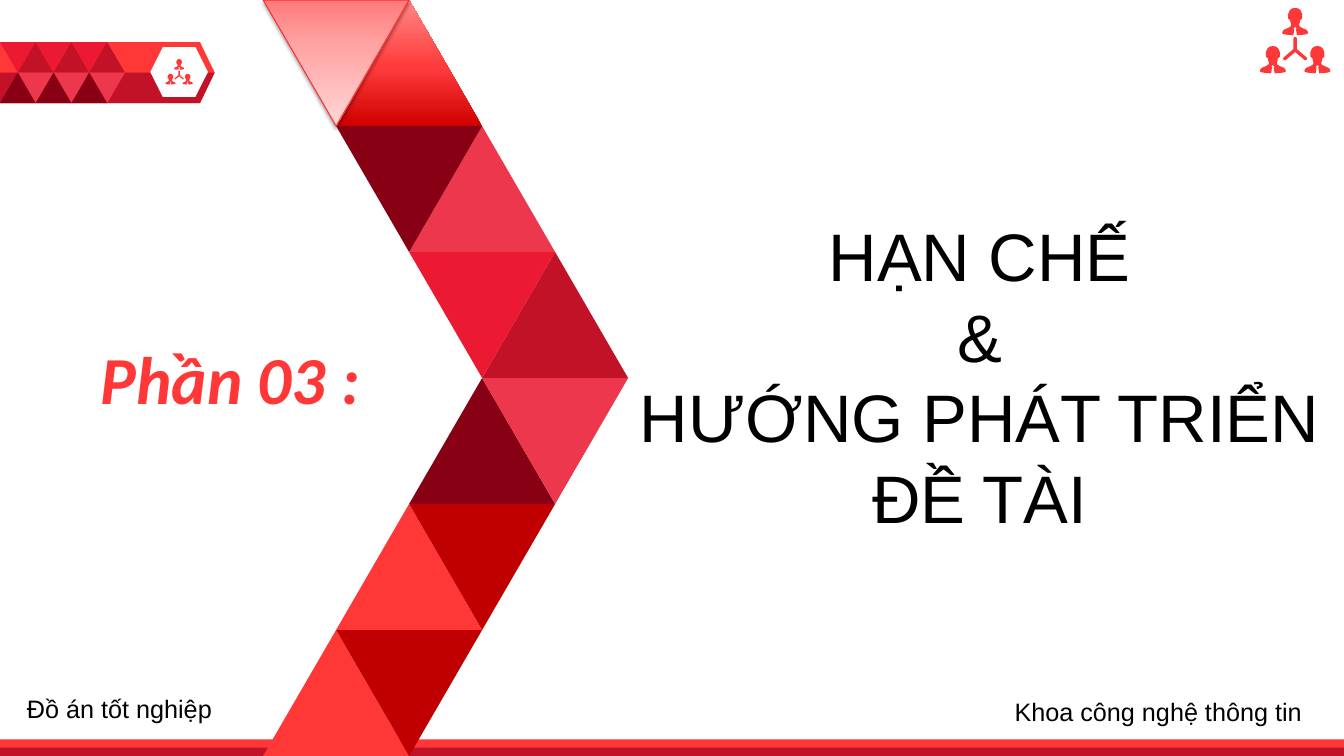
from dataclasses import dataclass

from lxml.etree import SubElement
from pptx import Presentation
from pptx.dml.color import RGBColor
from pptx.enum.shapes import MSO_SHAPE
from pptx.enum.text import MSO_AUTO_SIZE, PP_ALIGN
from pptx.oxml.ns import qn
from pptx.util import Cm, Pt


@dataclass(frozen=True)
class Theme:
    red: str = "FF3737"
    crimson: str = "C21227"
    scarlet: str = "EB1932"
    rose: str = "ED374D"
    maroon: str = "880014"
    brick: str = "C00000"
    white: str = "FFFFFF"
    black: str = "000000"
    glass_edge: str = "FD3030"
    flame: tuple = ((0, "CF0000"), (48, "FF3C3C"), (100, "FF8787"))
    glass: tuple = ((0, "FF7A7B"), (35, "FFA3A3"), (100, "FFD6D6"))
    heading_font: str = "Calibri"
    body_font: str = "Arial"
    title_size: int = 48
    footer_size: int = 18


THEME = Theme()
SLIDE_W, SLIDE_H = 33.87, 19.05

# Right halves of the icon's symmetric outlines, in hundredths of its width
PERSON = [(0, 0), (5, 1), (8, 4), (10, 9), (10, 11.5), (10, 15), (7, 17.5),
          (6.5, 21), (5.5, 23), (6, 26), (10, 28.5), (15, 30.5), (17.5, 32.5),
          (18.5, 36), (15, 37.5), (9, 38.3), (2.5, 38.6), (1.2, 30),
          (2.5, 29), (0, 27)]
SPOKES = [(0, 41), (2, 42), (2.6, 44), (2.6, 58.5), (16, 70), (17, 72),
          (16, 74), (13.5, 74), (0, 62.5)]


def paint(shape, colour):
    """Flat or gradient fill, with no outline and no shadow."""
    shape.shadow.inherit = False
    shape.line.fill.background()
    if isinstance(colour, str):
        shape.fill.solid()
        shape.fill.fore_color.rgb = RGBColor.from_string(colour)
        return
    shape.fill.gradient()
    shape.fill.gradient_angle = 90
    stops = shape.element.spPr.find(".//" + qn("a:gsLst"))
    stops.clear()
    for percent, stop_colour in colour:
        stop = SubElement(stops, qn("a:gs"), pos=str(percent * 1000))
        SubElement(stop, qn("a:srgbClr"), val=stop_colour)


def add_block(slide, kind, box, colour):
    block = slide.shapes.add_shape(kind, *(Cm(length) for length in box))
    paint(block, colour)
    return block


def add_triangle(slide, box, colour, down=False):
    triangle = add_block(slide, MSO_SHAPE.ISOSCELES_TRIANGLE, box, colour)
    triangle.rotation = 180 if down else 0
    return triangle


def add_outlines(slide, outlines, colour):
    """One freeform made of closed outlines given in centimetres."""
    builder = None
    for outline in outlines:
        points = [(Cm(x), Cm(y)) for x, y in outline]
        if builder is None:
            builder = slide.shapes.build_freeform(*points[0])
        else:
            builder.move_to(*points[0])
        builder.add_line_segments(points[1:], close=True)
    paint(builder.convert_to_shape(), colour)


def add_text(slide, box, lines, size, font, colour, align=PP_ALIGN.LEFT, strong=False):
    frame = slide.shapes.add_textbox(*(Cm(length) for length in box)).text_frame
    frame.word_wrap = True
    frame.auto_size = MSO_AUTO_SIZE.SHAPE_TO_FIT_TEXT
    for index, line in enumerate(lines):
        paragraph = frame.add_paragraph() if index else frame.paragraphs[0]
        paragraph.alignment = align
        run = paragraph.add_run()
        run.text = line
        run.font.size = Pt(size)
        run.font.name = font
        run.font.bold = run.font.italic = strong
        run.font.color.rgb = RGBColor.from_string(colour)


def add_team_icon(slide, left, top, width):
    """Three people joined by a three-way spoke."""
    unit = width / 100

    def mirrored(half, centre, drop):
        whole = half + [(-x, y) for x, y in reversed(half[1:-1])]
        return [(left + (centre + x) * unit, top + (drop + y) * unit) for x, y in whole]

    parts = [(PERSON, 50, 0), (PERSON, 18.5, 54), (PERSON, 81.5, 54), (SPOKES, 50, 0)]
    add_outlines(slide, [mirrored(*part) for part in parts], THEME.red)


def add_badge(slide, left, top, width, height):
    """Pointed tag with a triangle pattern and the team icon."""
    middle, bottom, right = top + height / 2, top + height, left + width
    plate = add_block(slide, MSO_SHAPE.PENTAGON, (left, top, width, height), THEME.red)
    plate.adjustments[0] = 0.24
    lower_half = [(left, middle), (right, middle), (right - 0.37, bottom), (left, bottom)]
    add_outlines(slide, [lower_half], THEME.crimson)
    add_block(slide, MSO_SHAPE.HEXAGON, (right - 1.62, top + 0.13, 1.45, 1.25), THEME.white)
    add_team_icon(slide, right - 1.24, top + 0.43, 0.69)

    side, rise = 0.9, height / 2
    for column in range(3):
        x = left + column * side
        shifted = x + side / 2
        add_triangle(slide, (x, top, side, rise), THEME.scarlet, down=True)
        add_triangle(slide, (shifted, top, side, rise), THEME.crimson)
        add_triangle(slide, (shifted, middle, side, rise), THEME.rose, down=True)
        add_triangle(slide, (x, middle, side, rise), THEME.maroon)


def add_footer(slide, left, top, width, height):
    """Two-tone stripe with a caption above each end."""
    add_block(slide, MSO_SHAPE.RECTANGLE, (left, top, width, height), THEME.red)
    add_block(slide, MSO_SHAPE.RECTANGLE,
              (left, top + height / 2, width, height / 2), THEME.crimson)
    captions = [((left + 0.43, top - 1.28, 7.2, 1.03), "Đồ án tốt nghiệp"),
                ((left + 25.32, top - 1.2, 8.45, 1.03), "Khoa công nghệ thông tin")]
    for box, caption in captions:
        add_text(slide, box, [caption], THEME.footer_size, THEME.body_font, THEME.black)


def add_chevron(slide, left, top, width, height):
    """Six rows of triangle pairs that point right."""
    rows = [  # colours of the downward and the upward triangle
        (THEME.glass, THEME.flame),
        (THEME.maroon, THEME.rose),
        (THEME.scarlet, THEME.crimson),
        (THEME.rose, THEME.maroon),
        (THEME.brick, THEME.red),
        (THEME.brick, THEME.red),
    ]
    step, rise = width / 5, height / len(rows)
    for row, (down_colour, up_colour) in enumerate(rows):
        down_step, up_step = (row, row + 1) if row < 3 else (6 - row, 5 - row)
        y = top + row * rise
        add_triangle(slide, (left + up_step * step, y, 2 * step, rise), up_colour)
        facet = add_triangle(slide, (left + down_step * step, y, 2 * step, rise),
                             down_colour, down=True)
        if row == 0:
            add_glass_edge(facet)


def add_glass_edge(facet):
    facet.line.color.rgb = RGBColor.from_string(THEME.glass_edge)
    facet.line.width = Pt(0.75)
    effects = facet.element.spPr.find(qn("a:effectLst"))
    shadow = SubElement(effects, qn("a:outerShdw"), blurRad=str(Pt(3.1)),
                        dist=str(Pt(1.6)), dir="5400000", rotWithShape="0")
    shade = SubElement(shadow, qn("a:srgbClr"), val=THEME.black)
    SubElement(shade, qn("a:alpha"), val="38000")


def add_section_title(slide, left, top, width, height):
    """Part number on the left, section name on the right."""
    add_text(slide, (left, top + 3.1, 10.46, 2.29), ["Phần 03 :"], THEME.title_size,
             THEME.heading_font, THEME.red, strong=True)
    name_box = (left + width - 17.78, top, 17.78, height)
    add_text(slide, name_box, ["HẠN CHẾ", "&", "HƯỚNG PHÁT TRIỂN", "ĐỀ TÀI"],
             THEME.title_size, THEME.body_font, THEME.black, PP_ALIGN.CENTER)


def main():
    deck = Presentation()
    deck.slide_width, deck.slide_height = Cm(SLIDE_W), Cm(SLIDE_H)
    slide = deck.slides.add_slide(deck.slide_layouts[6])

    add_badge(slide, 0, 1.06, 5.41, 1.54)
    add_footer(slide, 0, 18.63, SLIDE_W, 0.42)
    add_chevron(slide, 6.63, 0, 9.2, SLIDE_H)
    add_section_title(slide, 2.29, 5.28, 31.29, 8.46)
    add_team_icon(slide, 31.75, 0.2, 1.78)

    deck.save("out.pptx")


if __name__ == "__main__":
    main()
